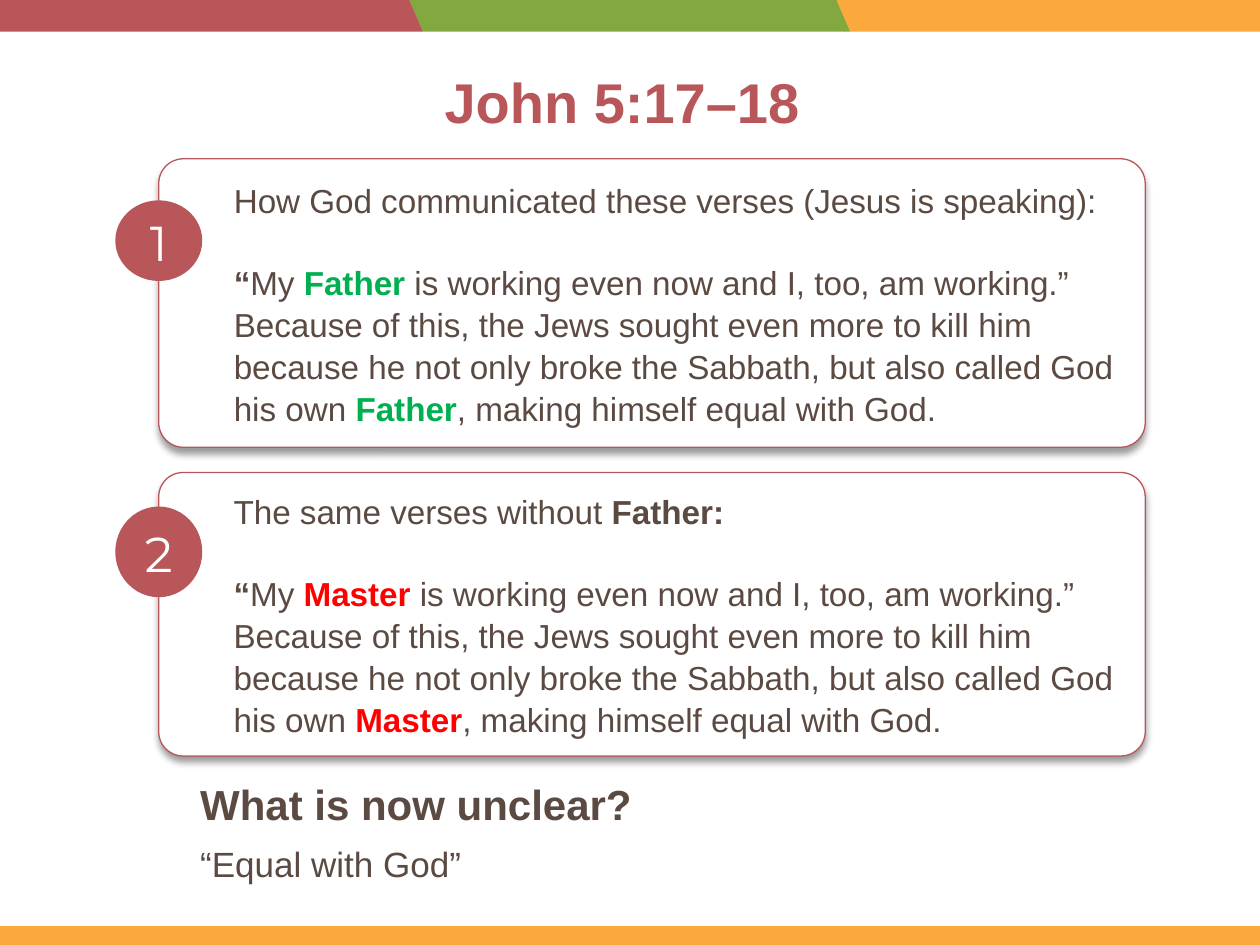
from pptx import Presentation
from pptx import util as u
from pptx.dml.color import RGBColor
from pptx.enum import shapes, text
from pptx.oxml import parse_xml
from pptx.oxml.ns import nsdecls

# Content: each run is (words, style)
TITLE = "John 5:17–18 "
VERSE = ("is working even now and I, too, am working.” Because of this, the Jews "
         "sought even more to kill him because he not only broke the Sabbath, "
         "but also called God his own ")
CARDS = [
    {"intro": [("How God communicated these verses (Jesus is speaking):", "body")],
     "word": "Father", "style": "kept", "top": 1.26, "height": 2.29,
     "badge_top": 1.59, "badge_height": 0.64},
    {"intro": [("The same verses without ", "body"), ("Father:", "strong")],
     "word": "Master", "style": "swapped", "top": 3.75, "height": 2.25,
     "badge_top": 4.02, "badge_height": 0.72},
]
CLOSING = [
    ("What is now unclear?", "question", (1.49, 6.11, 4.89, 0.5)),
    ("“Equal with God”", "answer", (1.49, 6.62, 5.6, 0.44)),
]

# Theme
RED, GREEN, ORANGE, BROWN, WHITE = "B95659", "83A83F", "FBA93D", "5B4A42", "FFFFFF"
THEME = {
    "title": {"size": 32, "color": RED, "bold": True},
    "body": {"size": 19, "color": BROWN, "bold": False},
    "strong": {"size": 19, "color": BROWN, "bold": True},
    "kept": {"size": 19, "color": "00B050", "bold": True},
    "swapped": {"size": 19, "color": "FF0000", "bold": True},
    "badge": {"size": 28, "color": WHITE, "bold": False, "name": "Montserrat"},
    "question": {"size": 24, "color": BROWN, "bold": True},
    "answer": {"size": 20, "color": BROWN, "bold": False},
}
LINE_SPACING = 1.05
SLIDE_W, SLIDE_H = 10, 7.5
CARD_LEFT, CARD_W, BADGE_W = 1.26, 7.83, 0.69
BAND_W, BAND_H, BAND_STEP = 3.5, 0.25, 3.39
FOOT_H = 0.15
SHADOW = (
    f'<a:effectLst {nsdecls("a")}><a:outerShdw blurRad="{u.Pt(4)}" dist="{u.Pt(3)}" '
    'dir="5400000" algn="t" rotWithShape="0"><a:srgbClr val="000000">'
    '<a:alpha val="40000"/></a:srgbClr></a:outerShdw></a:effectLst>')


def box(*lengths):
    return [u.Inches(n) for n in lengths]


def add_block(parent, kind, place, fill, adjust=None):
    block = parent.add_shape(kind, *box(*place))
    block.shadow.inherit = False
    block.fill.solid()
    block.fill.fore_color.rgb = RGBColor.from_string(fill)
    block.line.fill.background()
    if adjust is not None:
        block.adjustments[0] = adjust
    return block


def write(paragraph, runs, align=text.PP_ALIGN.LEFT):
    paragraph.alignment = align
    paragraph.line_spacing = LINE_SPACING
    for words, style in runs:
        run = paragraph.add_run()
        run.text = words
        look = {"name": "Arial", **THEME[style]}
        run.font.color.rgb = RGBColor.from_string(look.pop("color"))
        look["size"] = u.Pt(look["size"])
        for key, value in look.items():
            setattr(run.font, key, value)


def add_card(slide, number, card):
    group = slide.shapes.add_group_shape().shapes
    panel = add_block(group, shapes.MSO_SHAPE.ROUNDED_RECTANGLE,
                      (CARD_LEFT, card["top"], CARD_W, card["height"]), WHITE, 0.086)
    panel.line.color.rgb = RGBColor.from_string(RED)
    panel.line.width = u.Pt(0.75)
    props = panel.element.spPr
    props.replace(props.find("{*}effectLst"), parse_xml(SHADOW))

    # Introduction, then the verse with its key word marked
    frame = panel.text_frame
    frame.word_wrap = True
    frame.vertical_anchor = text.MSO_ANCHOR.MIDDLE
    word, style = card["word"], card["style"]
    verse = [("“", "strong"), ("My ", "body"), (word + " ", style), (VERSE, "body"),
             (word, style), (", making himself equal with God.", "body")]
    intro_line, verse_line = frame.paragraphs[0], frame.add_paragraph()
    for paragraph, runs in ((intro_line, card["intro"]), (verse_line, verse)):
        write(paragraph, runs)
        paragraph._p.get_or_add_pPr().set("marL", str(u.Inches(0.44)))
    verse_line.space_before = u.Pt(23)

    # Number badge centred on the panel's left edge
    badge = add_block(group, shapes.MSO_SHAPE.OVAL,
                      (CARD_LEFT - BADGE_W / 2, card["badge_top"], BADGE_W,
                       card["badge_height"]), RED)
    badge.text_frame.vertical_anchor = text.MSO_ANCHOR.MIDDLE
    write(badge.text_frame.paragraphs[0], [(str(number), "badge")],
          text.PP_ALIGN.CENTER)


def main():
    deck = Presentation()
    deck.slide_width, deck.slide_height = box(SLIDE_W, SLIDE_H)
    slide = deck.slides.add_slide(deck.slide_layouts[5])

    # Title
    title = slide.shapes.title
    title.left, title.top, title.width, title.height = box(0.69, 0.46, 8.62, 1.45)
    title.text_frame.vertical_anchor = text.MSO_ANCHOR.TOP
    write(title.text_frame.paragraphs[0], [(TITLE, "title")], text.PP_ALIGN.CENTER)

    # Top bands and foot strip
    for column, color in enumerate((RED, GREEN, ORANGE)):
        band = add_block(slide.shapes, shapes.MSO_SHAPE.PARALLELOGRAM,
                         (column * BAND_STEP - 0.14, 0, BAND_W, BAND_H), color, 0.436)
        band.element.spPr.find("{*}xfrm").set("flipH", "1")
    add_block(slide.shapes, shapes.MSO_SHAPE.RECTANGLE,
              (0, SLIDE_H - FOOT_H, SLIDE_W, FOOT_H), ORANGE)

    # Numbered cards
    for number, card in enumerate(CARDS, 1):
        add_card(slide, number, card)

    # Closing question and answer
    for words, style, place in CLOSING:
        frame = slide.shapes.add_textbox(*box(*place)).text_frame
        frame.word_wrap = True
        write(frame.paragraphs[0], [(words, style)])

    deck.save("out.pptx")


if __name__ == "__main__":
    main()
